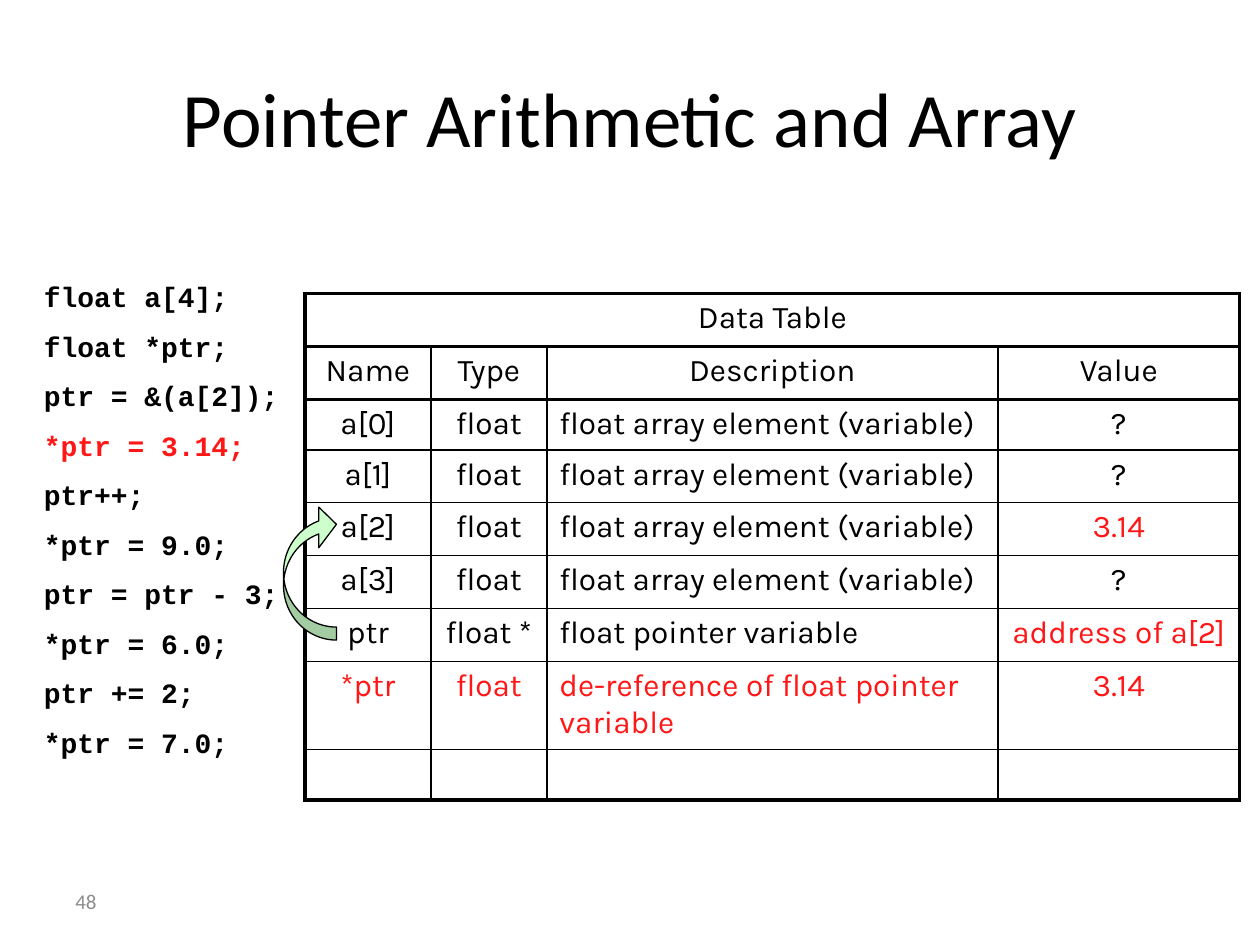
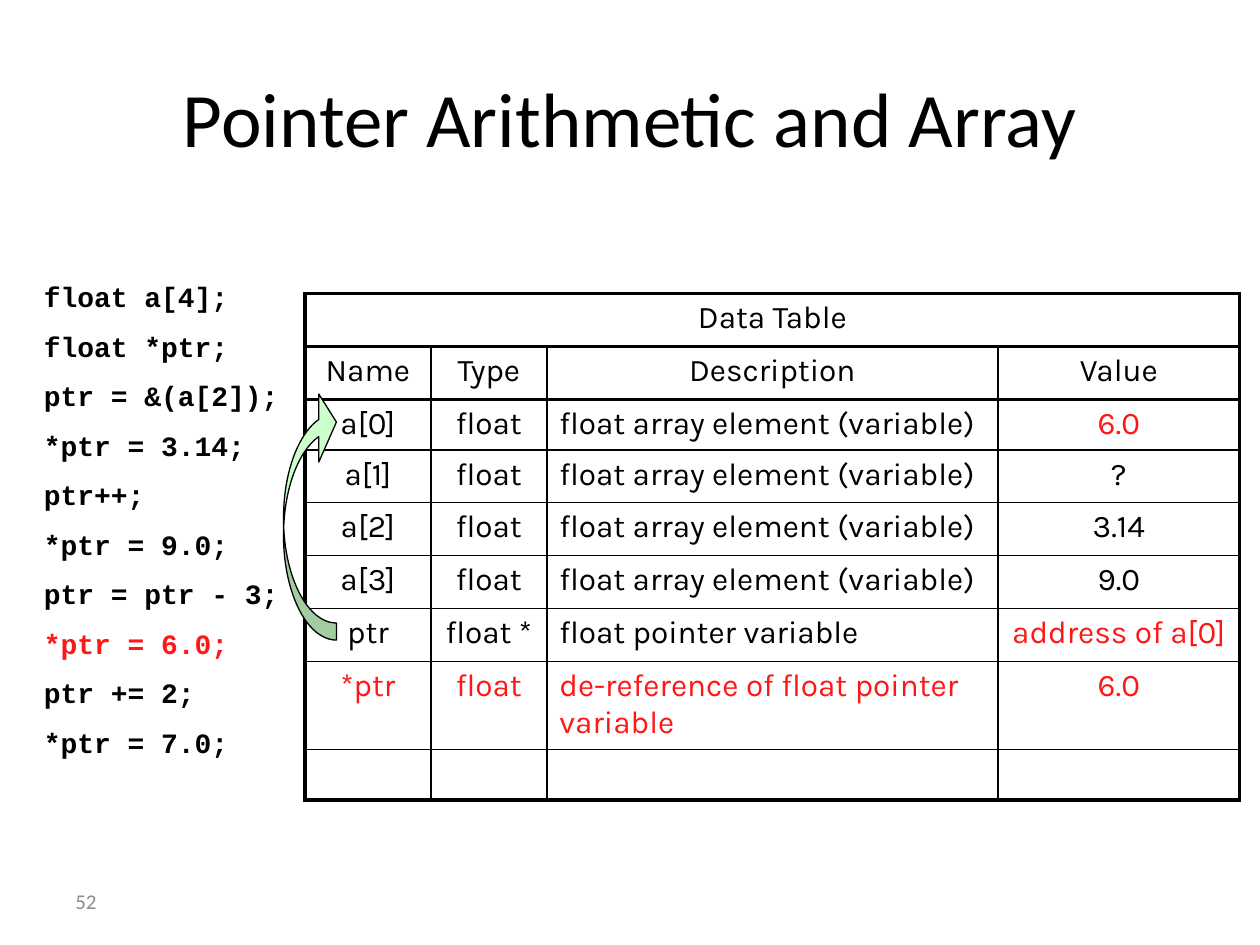
from lxml import etree
from pptx import Presentation
from pptx.dml.color import RGBColor
from pptx.enum.shapes import MSO_SHAPE
from pptx.enum.text import MSO_ANCHOR, PP_ALIGN
from pptx.oxml.ns import qn
from pptx.util import Inches, Pt

CURVED_ARROW = MSO_SHAPE.CURVED_LEFT_ARROW
MIDDLE = MSO_ANCHOR.MIDDLE
LEFT, CENTER = PP_ALIGN.LEFT, PP_ALIGN.CENTER

COLORS = {"black": "000000", "red": "FF1717", "gray": "8C8C8C", "green": "CCFFCC"}
TITLE = "Pointer Arithmetic and Array"
CODE = ["float a[4];", "float *ptr;", "ptr = &(a[2]);", "*ptr = 3.14;", "ptr++;",
        "*ptr = 9.0;", "ptr = ptr - 3;", "*ptr = 6.0;", "ptr += 2;", "*ptr = 7.0;"]
HEADINGS = ["Name", "Type", "Description", "Value"]
COL_WIDTHS = [1, 0.92, 3.58, 1.92]
ROW_HEIGHTS = [0.42, 0.42, 0.4] + [0.42] * 4 + [0.69, 0.39]
THIN, THICK = 1, 2.25
ARROW_BOTTOM = 5.08

# What differs between the slides: current code line, array values, pointer target
STEPS = [
    {"number": "48", "line": 3, "values": ["?", "?", "3.14", "?"], "target": 2,
     "arrow_top": 4, "adjust": [0.246, 0.766, 0.333]},
    {"number": "52", "line": 7, "values": ["6.0", "?", "3.14", "9.0"], "target": 0,
     "arrow_top": 3.08, "adjust": [0.323, 1.283, 0.333]},
]


def style_paragraph(p, font, size, color, align=LEFT, bold=False):
    p.alignment = align
    for r in p.runs:
        r.font.name, r.font.size, r.font.bold = font, Pt(size), bold
        r.font.color.rgb = RGBColor.from_string(COLORS[color])


def add_text(slide, box, lines, anchor=None):
    tf = slide.shapes.add_textbox(*map(Inches, box)).text_frame
    tf.word_wrap = True
    if anchor is not None:
        tf.vertical_anchor = anchor
    tf.text = "\n".join(lines)
    return tf.paragraphs


prs = Presentation()
prs.slide_width, prs.slide_height = Inches(10), Inches(7.5)

for step in STEPS:
    s = prs.slides.add_slide(prs.slide_layouts[6])

    # Slide number and title
    p = add_text(s, (0.5, 6.95, 2.33, 0.4), [step["number"]], MIDDLE)[0]
    style_paragraph(p, "Calibri", 12, "gray")
    p = add_text(s, (0.5, 0.3, 9, 1.25), [TITLE], MIDDLE)[0]
    style_paragraph(p, "Calibri", 44, "black", CENTER)

    # Code with the current line in red
    for i, p in enumerate(add_text(s, (0.25, 2.17, 9.33, 3.98), CODE)):
        color = "red" if i == step["line"] else "black"
        style_paragraph(p, "Courier New", 16, color, bold=True)
        if i:
            p.space_before = Pt(9.1)

    # Table contents
    target = step["target"]
    current = step["values"][target]
    rows = [["Data Table", "", "", ""], HEADINGS]
    rows += [[f"a[{i}]", "float", "float array element (variable)", value]
             for i, value in enumerate(step["values"])]
    rows += [["ptr", "float *", "float pointer variable", f"address of a[{target}]"],
             ["*ptr", "float", "de-reference of float pointer variable", current],
             [""] * 4]
    red_cells = {(target + 2, 3), (6, 3)} | {(7, c) for c in range(4)}

    # Data table
    table = s.shapes.add_table(len(rows), 4, Inches(2.42), Inches(2.33),
                               Inches(sum(COL_WIDTHS)), Inches(sum(ROW_HEIGHTS))).table
    table.first_row = table.horz_banding = False
    for c, width in enumerate(COL_WIDTHS):
        table.columns[c].width = Inches(width)
    table.cell(0, 0).merge(table.cell(0, 3))
    last = len(rows) - 1
    for r, row in enumerate(rows):
        table.rows[r].height = Inches(ROW_HEIGHTS[r])
        for c, text in enumerate(row):
            cell = table.cell(r, c)
            if text:
                cell.text = text
                color = "red" if (r, c) in red_cells else "black"
                align = LEFT if c == 2 and r > 1 else CENTER
                style_paragraph(cell.text_frame.paragraphs[0], "Karla", 18, color, align)
            # Thick outer frame and header rules, thin lines elsewhere
            thick = {"lnL": r == 0 or c == 0, "lnR": r == 0 or c == 3,
                     "lnT": r <= 2, "lnB": r <= 1 or r == last}
            tcPr = cell._tc.get_or_add_tcPr()
            for side, is_thick in thick.items():
                ln = etree.SubElement(tcPr, qn(f"a:{side}"),
                                      w=str(Pt(THICK if is_thick else THIN)))
                fill = etree.SubElement(ln, qn("a:solidFill"))
                etree.SubElement(fill, qn("a:srgbClr"), val=COLORS["black"])
            cell.fill.background()

    # Arrow from ptr to the element it points at
    top = step["arrow_top"]
    sp = s.shapes.add_shape(CURVED_ARROW, Inches(2.25), Inches(top),
                            Inches(0.42), Inches(ARROW_BOTTOM - top))
    sp.rotation = 180
    for i, value in enumerate(step["adjust"]):
        sp.adjustments[i] = value
    sp.shadow.inherit = False
    sp.fill.solid()
    sp.fill.fore_color.rgb = RGBColor.from_string(COLORS["green"])
    sp.line.color.rgb = RGBColor.from_string(COLORS["black"])
    sp.line.width = Pt(0.75)

prs.save("out.pptx")
